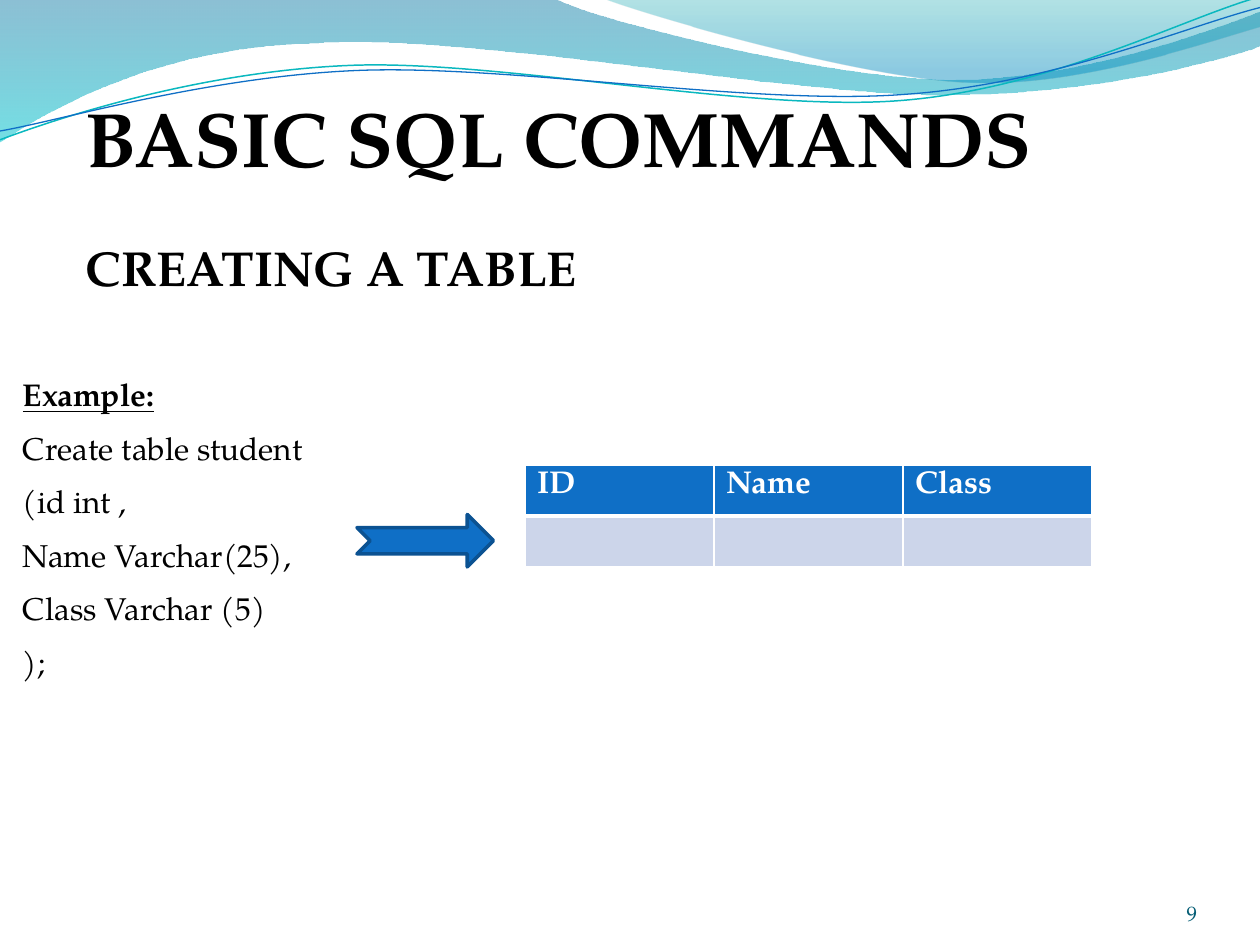
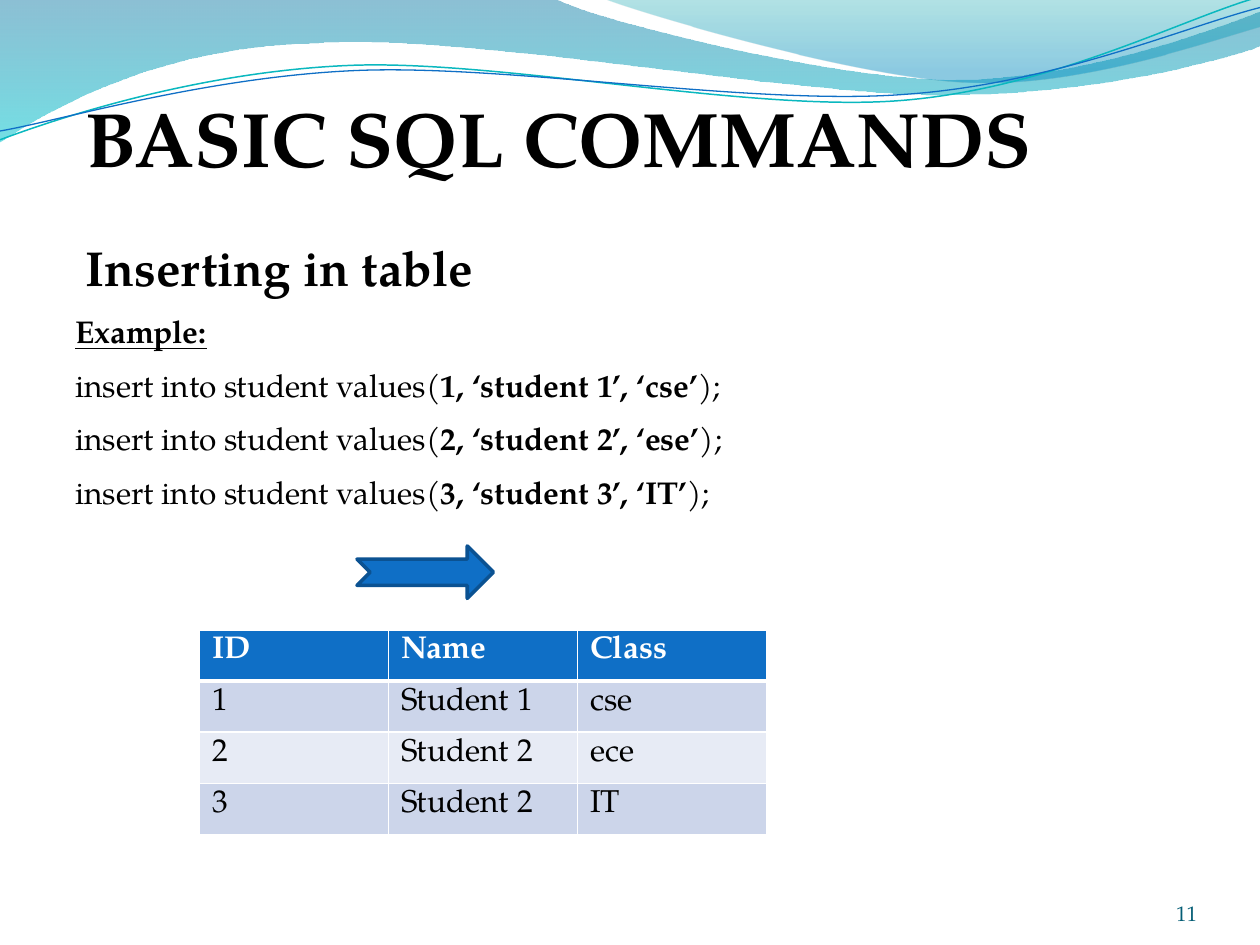
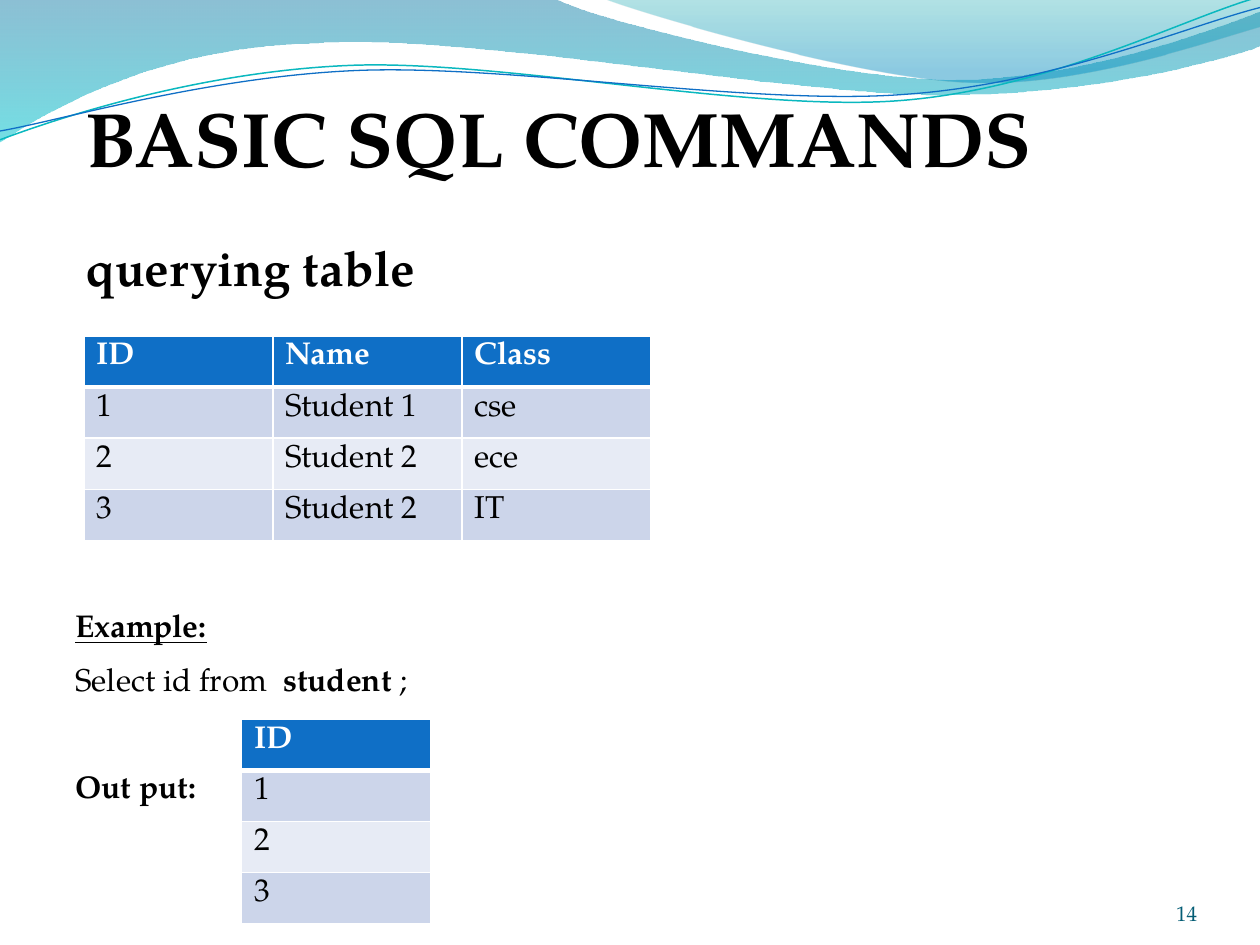
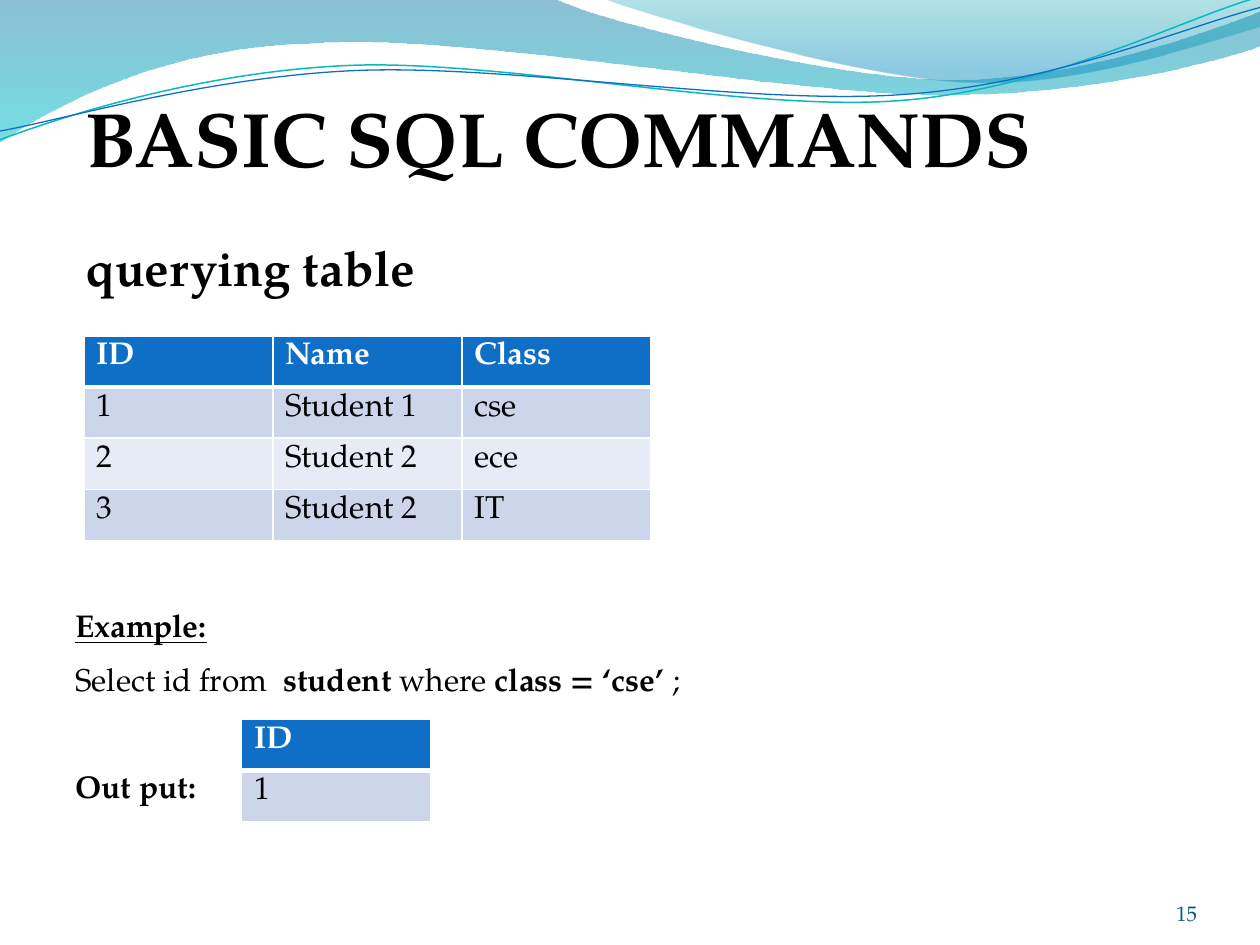
import pptx
import pptx.util
import pptx.dml.color
import pptx.enum.shapes
import pptx.enum.text
import pptx.oxml.ns
import lxml.etree
from dataclasses import dataclass

Pt = pptx.util.Pt
RGB = pptx.dml.color.RGBColor.from_string
qn = pptx.oxml.ns.qn
GROW = pptx.enum.text.MSO_AUTO_SIZE.SHAPE_TO_FIT_TEXT


@dataclass(frozen=True)
class Theme:
    font: str = "TeX Gyre Pagella"
    blue: str = "0F6FC6"
    edge: str = "0B5292"
    teal: str = "0AB8BF"
    ink: str = "000000"
    white: str = "FFFFFF"
    foot: str = "045D75"
    bands: tuple = ("CCD5EA", "E7EBF5")
    title: int = 44
    head: int = 28
    body: int = 18
    small: int = 12


look = Theme()


def write(frame, lines, size, color, bold=False, gap=0):
    """Fill a text frame; in a line split into parts, every second part is bold."""
    for i, line in enumerate(lines):
        para = frame.paragraphs[0] if i == 0 else frame.add_paragraph()
        parts = [line] if isinstance(line, str) else line
        for j, part in enumerate(parts):
            run = para.add_run()
            run.text = part
            if len(parts) > 1:
                run.font.bold = j % 2 == 1
        if i and gap:
            para.space_before = Pt(gap)
        para.font.name, para.font.size = look.font, Pt(size)
        para.font.color.rgb = RGB(color)
        if len(parts) == 1:
            para.font.bold = bold


def grid(slide, left, top, rows):
    """Add a banded table with a blue head row and white rules."""
    wide, high = 108, 29.2
    frame = slide.shapes.add_table(len(rows), len(rows[0]), Pt(left), Pt(top),
                                   Pt(wide * len(rows[0])), Pt(high * len(rows)))
    for r, row in enumerate(rows):
        frame.table.rows[r].height = Pt(high)
        for c, text in enumerate(row):
            cell = frame.table.cell(r, c)
            cell.fill.solid()
            cell.fill.fore_color.rgb = RGB(look.bands[(r - 1) % 2] if r else look.blue)
            if text:
                write(cell.text_frame, [text], look.body,
                      look.ink if r else look.white, bold=r == 0)
            props = cell._tc.get_or_add_tcPr()
            for n, side in enumerate(("lnL", "lnR", "lnT", "lnB")):
                thick = 3 if r == 0 and side == "lnB" else 1
                rule = lxml.etree.Element(qn("a:" + side), w=str(Pt(thick)))
                fill = lxml.etree.SubElement(rule, qn("a:solidFill"))
                lxml.etree.SubElement(fill, qn("a:srgbClr"), val=look.white)
                props.insert(n, rule)


deck = pptx.Presentation()
deck.slide_width, deck.slide_height = Pt(720), Pt(540)
blank = deck.slide_layouts[6]

# Slide contents
names = ["ID", "Name", "Class"]
full = [names, ["1", "Student 1", "cse"], ["2", "Student 2", "ece"],
        ["3", "Student 2", "IT"]]
pages = [
    dict(num="9", head="CREATING A TABLE", box=(6, 180, 300, 258), arrow=294,
         code=["Create table student", "(id int ,", "Name Varchar(25),",
               "Class Varchar (5)", ");"],
         grids=[(300, 265.7, [names, ["", "", ""]])]),
    dict(num="11", head="Inserting in table", box=(36, 144, 540, 160), arrow=312,
         code=[["insert into student values(", vals, ");"] for vals in
               ("1, ‘student 1’, ‘cse’", "2, ‘student 2’, ‘ese’", "3, ‘student 3’, ‘IT’")],
         grids=[(114, 360, full)]),
    dict(num="14", head="querying table", box=(36, 312, 540, 160),
         code=[["Select id from  ", "student ", ";"]], out="Out put:",
         grids=[(48, 192, full), (138, 411, [["ID"], ["1"], ["2"], ["3"]])]),
    dict(num="15", head="querying table", box=(36, 312, 540, 160),
         code=[["Select id from  ", "student ", "where", " class = ‘cse’ ", ";"]],
         out="Out put:",
         grids=[(48, 192, full), (138, 411, [["ID"], ["1"]])]),
]

# Waves: start point, then Bezier pieces of three points or lines of one, in inches
waves = [
    dict(start=(0, 0), stops=[(0, "0074A1", 45), (1, "00C6CF", 55)], steps=[
        [(4.4, -0.01)], [(4.76, 0.17), (6.64, 0.63), (7.58, 0.63)],
        [(8.53, 0.63), (9.58, 0.26), (10, 0.09)], [(10.01, 0.36)],
        [(9.83, 0.44), (8.7, 0.76), (7.46, 0.75)],
        [(6.22, 0.75), (3.82, 0.28), (2.57, 0.34)],
        [(1.29, 0.36), (0.46, 0.83), (-0.01, 1.13)], [(0, 0)]]),
    dict(start=(4.79, -0.01), stops=[(0, "00A1A9", 30), (0.8, "008BBF", 45)], steps=[
        [(5.09, 0.11), (6.82, 0.62), (7.69, 0.65)],
        [(8.56, 0.69), (9.61, 0.32), (10, 0.21)], [(10, 0)], [(4.79, -0.01)]]),
    dict(start=(0, 1.11), line=(look.teal, 0.85), steps=[
        [(0.48, 0.93), (1.58, 0.57), (2.77, 0.52)],
        [(3.95, 0.47), (5.93, 0.89), (7.13, 0.8)],
        [(8.33, 0.71), (9.38, 0.15), (9.98, -0.02)]]),
    dict(start=(0, 1.04), line=(look.blue, 0.75), steps=[
        [(0.47, 0.96), (1.64, 0.61), (2.83, 0.56)],
        [(4.03, 0.51), (5.97, 0.84), (7.17, 0.75)],
        [(8.36, 0.67), (9.41, 0.21), (10, 0.06)]]),
]

slides = [deck.slides.add_slide(blank) for page in pages]

# Draw the waves once and move them to the shared layout
for wave in waves:
    dots = [(Pt(72 * x), Pt(72 * y)) for x, y in sum(wave["steps"], [wave["start"]])]
    pen = slides[0].shapes.build_freeform(*dots[0])
    pen.add_line_segments(dots[1:], close="stops" in wave)
    shape = pen.convert_to_shape()
    shape.shadow.inherit = False

    # Join each run of three points into one curve
    legs = iter(list(shape._element.iter(qn("a:lnTo"))))
    for step in wave["steps"]:
        group = [next(legs) for dot in step]
        if len(group) == 3:
            curve = lxml.etree.Element(qn("a:cubicBezTo"))
            group[0].addprevious(curve)
            for leg in group:
                curve.append(leg[0])
                leg.getparent().remove(leg)

    if "stops" in wave:
        shape.line.fill.background()
        shape.fill.gradient()
        shape.fill.gradient_angle = 270
        for stop, (pos, color, alpha) in zip(shape.fill.gradient_stops, wave["stops"]):
            stop.position, stop.color.rgb = pos, RGB(color)
        for tint, (pos, color, alpha) in zip(
                shape._element.spPr.iter(qn("a:srgbClr")), wave["stops"]):
            lxml.etree.SubElement(tint, qn("a:alpha"), val=str(alpha * 1000))
    else:
        color, thick = wave["line"]
        shape.fill.background()
        shape.line.color.rgb, shape.line.width = RGB(color), Pt(thick)
    blank.shapes._spTree.append(shape._element)

for slide, page in zip(slides, pages):
    # Page number, title and heading
    for text, box, size, color in (
            (page["num"], (624, 500, 60, 28.8), look.small, look.foot),
            ("BASIC SQL COMMANDS", (42, 48, 582, 60), look.title, look.ink),
            (page["head"], (42, 132, 624, 41), look.head, look.ink)):
        frame = slide.shapes.add_textbox(*map(Pt, box)).text_frame
        frame.word_wrap = True
        write(frame, [text], size, color, bold=size > look.small)
        if size == look.small:
            frame.margin_left = frame.margin_right = 0
            frame.margin_top = frame.margin_bottom = 0
            frame.vertical_anchor = pptx.enum.text.MSO_ANCHOR.BOTTOM
            frame.paragraphs[0].alignment = pptx.enum.text.PP_ALIGN.RIGHT
        else:
            frame.auto_size = GROW

    # Example code
    frame = slide.shapes.add_textbox(*map(Pt, page["box"])).text_frame
    frame.word_wrap, frame.auto_size = True, GROW
    frame.margin_top = Pt(34.4)
    lines = ["Example:"] + page["code"] + ([page["out"]] if "out" in page else [])
    write(frame, lines, look.body, look.ink, gap=9)
    first, last = frame.paragraphs[0], frame.paragraphs[-1]
    first.font.bold = first.font.underline = True
    if "out" in page:
        last.font.bold, last.space_before = True, Pt(39.6)

    # Arrow to the result
    if "arrow" in page:
        arrow = slide.shapes.add_shape(pptx.enum.shapes.MSO_SHAPE.NOTCHED_RIGHT_ARROW,
                                       Pt(204), Pt(page["arrow"]), Pt(78), Pt(30))
        arrow.shadow.inherit = False
        arrow.fill.solid()
        arrow.fill.fore_color.rgb = RGB(look.blue)
        arrow.line.color.rgb, arrow.line.width = RGB(look.edge), Pt(2)

    # Tables
    for left, top, rows in page["grids"]:
        grid(slide, left, top, rows)

deck.save("out.pptx")
